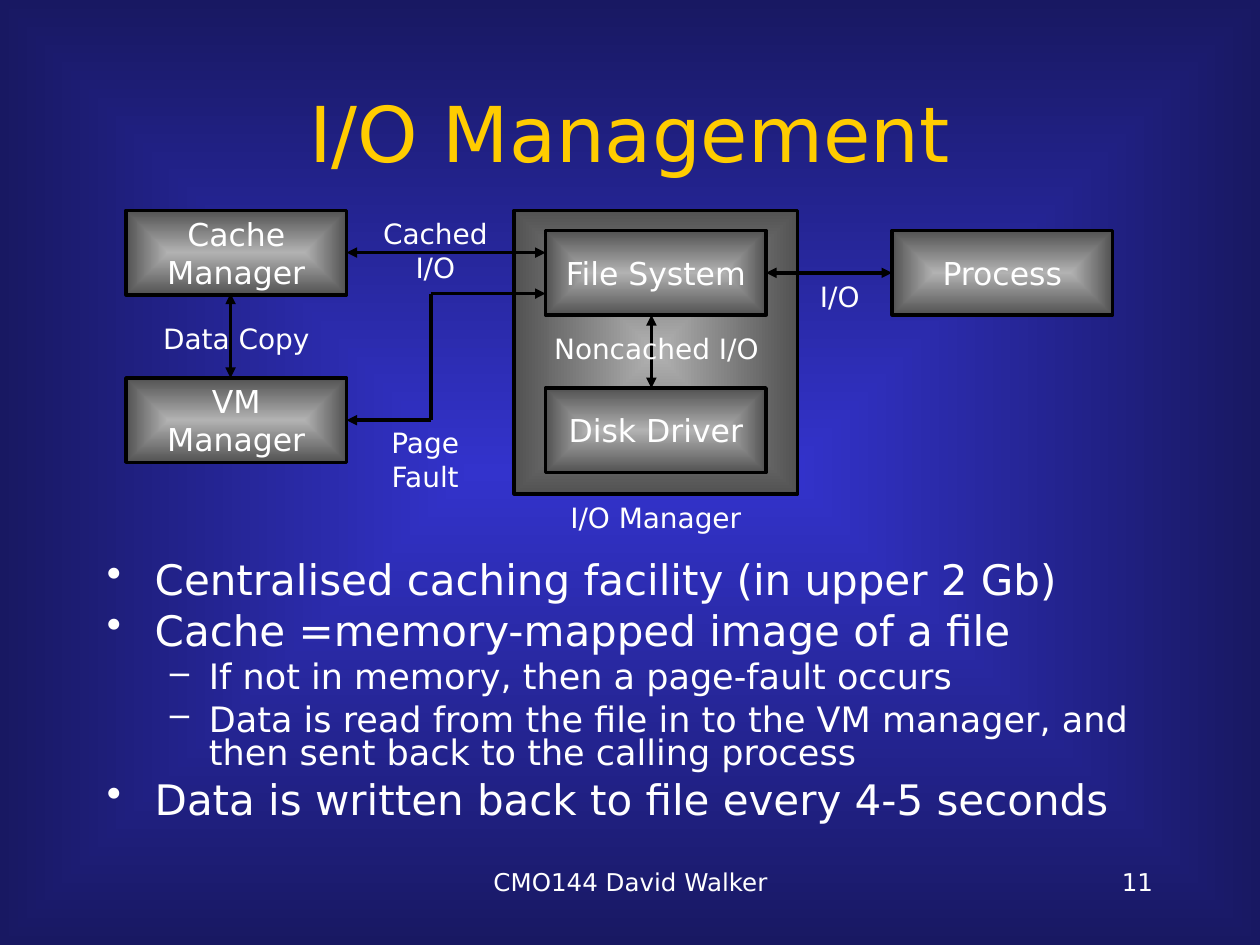
from lxml.etree import SubElement
from pptx import Presentation
from pptx.dml.color import RGBColor
from pptx.enum.shapes import MSO_CONNECTOR as Link, MSO_SHAPE as Preset
from pptx.enum.text import MSO_ANCHOR as Anchor, MSO_AUTO_SIZE as AutoSize, PP_ALIGN as Align
from pptx.oxml.ns import qn
from pptx.util import Inches, Pt

FONT = "DejaVu Sans"
WHITE, BLACK, GOLD = "FFFFFF", "000000", "FFCC00"
BOX_W, BOX_H = 1.75, 0.67
TOP, BOTTOM, LEFT, RIGHT = 0, 2, 1, 3


def rgb(color):
    return RGBColor.from_string(color)


def add_run(paragraph, text, size, color=WHITE):
    run = paragraph.add_run()
    run.text = text
    run.font.name = FONT
    run.font.size = Pt(size)
    run.font.color.rgb = rgb(color)


def write_lines(frame, lines, size, align=Align.CENTER, color=WHITE):
    for index, line in enumerate(lines):
        paragraph = frame.add_paragraph() if index else frame.paragraphs[0]
        paragraph.alignment = align
        add_run(paragraph, line, size, color)


def fill_from_center(fill, element, inner, outer):
    fill.gradient()
    for stop, color, position in zip(fill.gradient_stops, (inner, outer), (0, 1)):
        stop.color.rgb = rgb(color)
        stop.position = position
    gradient = element.find(".//" + qn("a:gradFill"))
    gradient.remove(gradient.find(qn("a:lin")))
    rings = SubElement(gradient, qn("a:path"), path="rect")
    SubElement(rings, qn("a:fillToRect"), l="50000", t="50000", r="50000", b="50000")


def add_box(slide, left, top, width=BOX_W, height=BOX_H, lines=()):
    box = slide.shapes.add_shape(
        Preset.RECTANGLE, Inches(left), Inches(top), Inches(width), Inches(height))
    box.shadow.inherit = False
    fill_from_center(box.fill, box.element, "B2B2B2", "525252")
    box.line.color.rgb = rgb(BLACK)
    box.line.width = Pt(2)
    box.text_frame.word_wrap = False
    box.text_frame.vertical_anchor = Anchor.MIDDLE
    write_lines(box.text_frame, lines, 18)
    return box


def add_wire(slide, start, end, ends=("headEnd", "tailEnd"), begin_at=None, end_at=None):
    wire = slide.shapes.add_connector(
        Link.STRAIGHT, *(Inches(value) for value in (*start, *end)))
    if begin_at:
        wire.begin_connect(*begin_at)
    if end_at:
        wire.end_connect(*end_at)
    wire.line.color.rgb = rgb(BLACK)
    wire.line.width = Pt(2)
    outline = wire.element.find(".//" + qn("a:ln"))
    for tip in ends:
        SubElement(outline, qn("a:" + tip), type="triangle")
    SubElement(wire.element.spPr, qn("a:effectLst"))


def add_text(slide, left, top, width, height, lines, size=16, align=Align.CENTER, grow=True):
    label = slide.shapes.add_textbox(
        Inches(left), Inches(top), Inches(width), Inches(height))
    frame = label.text_frame
    frame.word_wrap = True
    frame.auto_size = AutoSize.SHAPE_TO_FIT_TEXT if grow else AutoSize.NONE
    write_lines(frame, lines, size, align)


def add_title(slide, text):
    title = slide.shapes.title
    title.left, title.top = Inches(0.75), Inches(0.42)
    title.width, title.height = Inches(8.5), Inches(1.25)
    title.text_frame.vertical_anchor = Anchor.MIDDLE
    write_lines(title.text_frame, [text], 44, color=GOLD)


def add_points(slide, points):
    styles = [("•", 0.38, -0.38, 24, 6), ("–", 0.81, -0.31, 20, 5)]
    body = slide.shapes.add_textbox(Inches(0.75), Inches(4.42), Inches(8.5), Inches(2.25))
    frame = body.text_frame
    frame.word_wrap = True
    for index, (level, text) in enumerate(points):
        mark, margin, indent, size, space = styles[level]
        paragraph = frame.add_paragraph() if index else frame.paragraphs[0]
        paragraph.level = level
        paragraph.line_spacing = 0.8
        paragraph.space_before = Pt(space if index else 0)
        properties = paragraph._p.get_or_add_pPr()
        properties.set("marL", str(Inches(margin)))
        properties.set("indent", str(Inches(indent)))
        bullet_color = SubElement(properties, qn("a:buClr"))
        SubElement(bullet_color, qn("a:srgbClr"), val=WHITE)
        SubElement(properties, qn("a:buChar"), char=mark)
        add_run(paragraph, text, size)


def add_diagram(slide):
    cache = add_box(slide, 1, 1.67, lines=["Cache", "Manager"])
    vm = add_box(slide, 1, 3, lines=["VM", "Manager"])
    process = add_box(slide, 7.08, 1.83, lines=["Process"])
    file_system = add_box(slide, 4.33, 1.83, lines=["File System"])
    add_box(slide, 4.33, 3.08, lines=["Disk Driver"])

    cache_y, vm_y = 1.67 + BOX_H / 2, 3 + BOX_H / 2
    fault_x, fault_y = 3.42, 2.33
    add_wire(slide, (6.08, 2.17), (7.08, 2.17),
             begin_at=(file_system, RIGHT), end_at=(process, LEFT))
    add_wire(slide, (2.75, cache_y), (4.33, cache_y), begin_at=(cache, RIGHT))
    add_wire(slide, (1.83, 2.33), (1.83, 3))
    add_wire(slide, (5.17, 2.5), (5.17, 3.08))
    add_wire(slide, (fault_x, vm_y), (2.75, vm_y), ["tailEnd"], end_at=(vm, RIGHT))
    add_wire(slide, (fault_x, fault_y), (4.33, fault_y), ["tailEnd"])
    add_wire(slide, (fault_x, fault_y), (fault_x, vm_y), [])

    add_text(slide, 4.33, 3.92, 1.75, 0.37, ["I/O Manager"])
    add_text(slide, 6.33, 2.17, 0.67, 0.37, ["I/O"])
    add_text(slide, 1, 2.5, 1.75, 0.37, ["Data Copy"])
    add_text(slide, 4.25, 2.58, 1.92, 0.37, ["Noncached I/O"])
    add_text(slide, 2.75, 3.33, 1.25, 0.64, ["Page", "Fault"])
    add_text(slide, 2.83, 1.67, 1.25, 0.64, ["Cached I/O"])


def main():
    deck = Presentation()
    deck.slide_width, deck.slide_height = Inches(10), Inches(7.5)
    slide = deck.slides.add_slide(deck.slide_layouts[5])
    fill_from_center(slide.background.fill, slide.element, "3333CC", "181862")
    add_box(slide, 4.08, 1.67, 2.25, 2.25)
    add_title(slide, "I/O Management")
    add_points(slide, [
        (0, "Centralised caching facility (in upper 2 Gb)"),
        (0, "Cache =memory-mapped image of a file"),
        (1, "If not in memory, then a page-fault occurs"),
        (1, "Data is read from the file in to the VM manager, "
            "and then sent back to the calling process"),
        (0, "Data is written back to file every 4-5 seconds"),
    ])
    add_diagram(slide)
    add_text(slide, 3.42, 6.83, 3.17, 0.5, ["CMO144 David Walker"], 14, grow=False)
    add_text(slide, 7.17, 6.83, 2.08, 0.5, ["11"], 14, Align.RIGHT, grow=False)
    deck.save("out.pptx")


if __name__ == "__main__":
    main()
